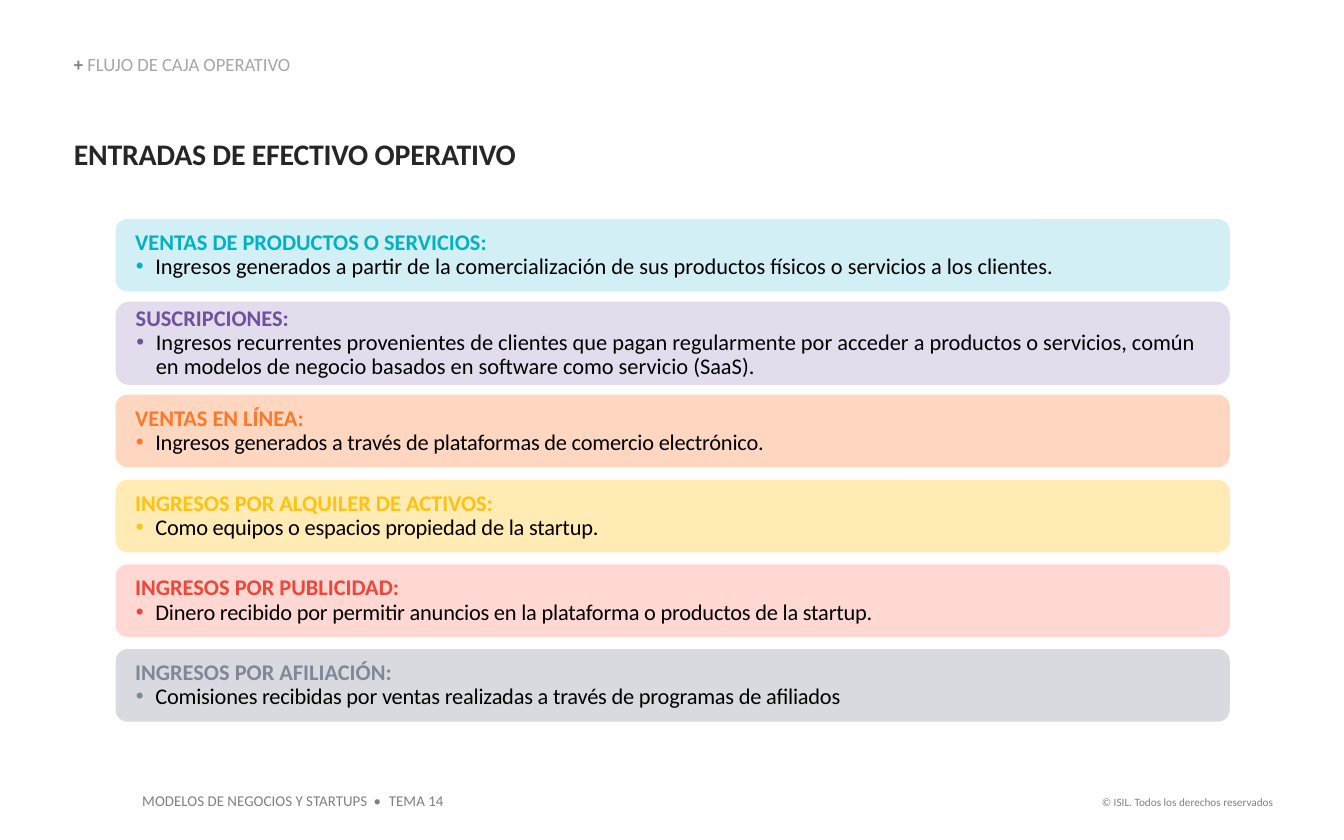
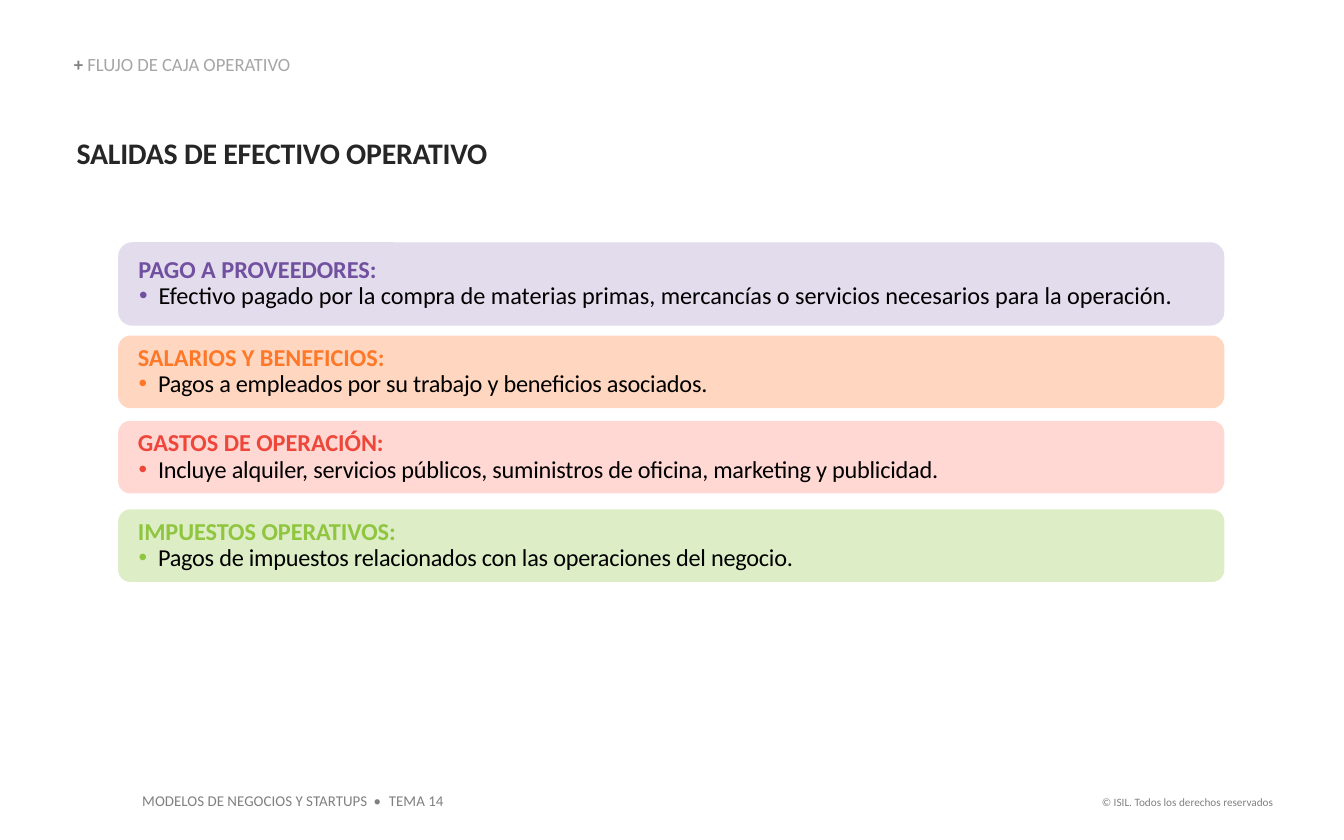
"""Build two slides on operating cash inflows and outflows."""
from lxml import etree
from pptx import Presentation
from pptx.dml.color import RGBColor
from pptx.enum.shapes import MSO_SHAPE
from pptx.enum.text import MSO_ANCHOR, PP_ALIGN
from pptx.oxml.ns import qn
from pptx.util import Pt

ROUNDED = MSO_SHAPE.ROUNDED_RECTANGLE
TOP, MIDDLE, BOTTOM = MSO_ANCHOR.TOP, MSO_ANCHOR.MIDDLE, MSO_ANCHOR.BOTTOM
LEFT, RIGHT = PP_ALIGN.LEFT, PP_ALIGN.RIGHT

FONT = "Calibri"
TIGHT = -0.1
CARD_HEIGHT, TALL_CARD_HEIGHT = 38.88, 44.64
COLORS = {
    "title": "262626", "body": "000000", "muted": "808080", "section": "A6A6A6",
    "teal": "00B2C4", "teal_fill": "D1EFF4",
    "purple": "7150A0", "purple_fill": "E3DCED",
    "orange": "FE7828", "orange_fill": "FFD7C1",
    "yellow": "FEC211", "yellow_fill": "FFEBB3",
    "red": "EE4639", "red_fill": "FFD8D4",
    "green": "8FC53F", "green_fill": "DDEEC7",
    "slate": "808799", "slate_fill": "808799",
}
FILL_OPACITY = {"slate": 30}

SECTION = "FLUJO DE CAJA OPERATIVO"
COURSE, TOPIC = "MODELOS DE NEGOCIOS Y STARTUPS", "TEMA 14"
COPYRIGHT = "© ISIL. Todos los derechos reservados"

SLIDES = [
    {
        "title": "ENTRADAS DE EFECTIVO OPERATIVO", "title_at": (39.6, 72.72),
        "left": 61.92, "width": 596.88, "size": 12,
        "cards": [
            ("teal", 117.36, CARD_HEIGHT, 0, "VENTAS DE PRODUCTOS O SERVICIOS:",
             "Ingresos generados a partir de la comercialización de sus productos físicos o servicios a los clientes."),
            ("purple", 161.6, TALL_CARD_HEIGHT, 0, "SUSCRIPCIONES:",
             "Ingresos recurrentes provenientes de clientes que pagan regularmente por acceder a productos o servicios, común\n"
             "en modelos de negocio basados en software como servicio (SaaS)."),
            ("orange", 211.5, CARD_HEIGHT, TIGHT, "VENTAS EN LÍNEA:",
             "Ingresos generados a través de plataformas de comercio electrónico."),
            ("yellow", 257.04, CARD_HEIGHT, TIGHT, "INGRESOS POR ALQUILER DE ACTIVOS:",
             "Como equipos o espacios propiedad de la startup."),
            ("red", 302.4, CARD_HEIGHT, TIGHT, "INGRESOS POR PUBLICIDAD:",
             "Dinero recibido por permitir anuncios en la plataforma o productos de la startup."),
            ("slate", 347.76, CARD_HEIGHT, TIGHT, "INGRESOS POR AFILIACIÓN:",
             "Comisiones recibidas por ventas realizadas a través de programas de afiliados"),
        ],
    },
    {
        "title": "SALIDAS DE EFECTIVO OPERATIVO", "title_at": (41.04, 72),
        "left": 63.36, "width": 592.56, "size": 13,
        "cards": [
            ("purple", 129.8, TALL_CARD_HEIGHT, 0, "PAGO A PROVEEDORES:",
             "Efectivo pagado por la compra de materias primas, mercancías o servicios necesarios para la operación."),
            ("orange", 179.8, CARD_HEIGHT, TIGHT, "SALARIOS Y BENEFICIOS:",
             "Pagos a empleados por su trabajo y beneficios asociados."),
            ("red", 225.5, CARD_HEIGHT, TIGHT, "GASTOS DE OPERACIÓN:",
             "Incluye alquiler, servicios públicos, suministros de oficina, marketing y publicidad."),
            ("green", 272.88, CARD_HEIGHT, TIGHT, "IMPUESTOS OPERATIVOS:",
             "Pagos de impuestos relacionados con las operaciones del negocio."),
        ],
    },
]


def add_span(para, text, size, color, bold=False, spacing=0):
    span = para.add_run()
    span.text = text
    span.font.name = FONT
    span.font.size = Pt(size)
    span.font.bold = bold
    span.font.color.rgb = RGBColor.from_string(COLORS[color])
    if spacing:
        span.font._element.set("spc", str(round(spacing * 100)))


def set_frame(shape, anchor, insets, wrap):
    frame = shape.text_frame
    frame.word_wrap = wrap
    frame.vertical_anchor = anchor
    frame.margin_left, frame.margin_top, frame.margin_right, frame.margin_bottom = map(Pt, insets)
    return frame


def add_line(page, place, spans, anchor=TOP, insets=(0, 0, 0, 0), wrap=True, align=LEFT):
    box = page.shapes.add_textbox(*map(Pt, place))
    para = set_frame(box, anchor, insets, wrap).paragraphs[0]
    para.alignment = align
    for span in spans:
        add_span(para, *span)
    return para


def add_bullet(para, color):
    properties = para._p.get_or_add_pPr()
    properties.set("marL", str(Pt(10.8)))
    properties.set("indent", str(-Pt(10.4)))
    bullet_color = etree.SubElement(properties, qn("a:buClr"))
    etree.SubElement(bullet_color, qn("a:srgbClr"), val=COLORS[color])
    etree.SubElement(properties, qn("a:buFont"), typeface="Arial")
    etree.SubElement(properties, qn("a:buChar"), char="•")


def add_card(page, left, width, size, card):
    color, top, height, spacing, heading, body = card
    shape = page.shapes.add_shape(ROUNDED, Pt(left), Pt(top), Pt(width), Pt(height))
    shape.shadow.inherit = False
    shape.line.fill.background()
    shape.fill.solid()
    shape.fill.fore_color.rgb = RGBColor.from_string(COLORS[color + "_fill"])
    if color in FILL_OPACITY:
        fill_color = shape._element.spPr.find(".//" + qn("a:srgbClr"))
        etree.SubElement(fill_color, qn("a:alpha"), val=str(FILL_OPACITY[color] * 1000))

    frame = set_frame(shape, MIDDLE, (8.64, 0, 0, 0), True)
    head = frame.paragraphs[0]
    add_span(head, heading, size, color, True)
    detail = frame.add_paragraph()
    detail.space_after = Pt(0.15 * size)
    add_bullet(detail, color)
    for index, text in enumerate(body.split("\n")):
        if index:
            detail.add_line_break()
        add_span(detail, text, size, "body", spacing=spacing)
    for para in (head, detail):
        para.alignment = LEFT
        para.line_spacing = 0.9


def add_footer(page):
    insets = (7.2, 3.6, 7.2, 3.6)
    add_line(page, (567.36, 422.64, 121.68, 14.4), [(COPYRIGHT, 6, "muted")],
             insets=insets, wrap=False, align=RIGHT)
    add_line(page, (69.12, 420.48, 176.4, 17.28),
             [(COURSE, 8, "muted"), (" • ", 8, "muted", False, 1.2), (TOPIC, 8, "muted")],
             insets=insets, wrap=False)


def main():
    deck = Presentation()
    deck.slide_width, deck.slide_height = Pt(720), Pt(450)
    for content in SLIDES:
        page = deck.slides.add_slide(deck.slide_layouts[6])
        add_footer(page)
        add_line(page, (*content["title_at"], 642.96, 19.44),
                 [(content["title"], 16, "title", True, TIGHT)])
        section = add_line(page, (39.6, 29.52, 306, 10.8),
                           [("+ ", 10, "muted", True), (SECTION, 10, "section")], anchor=BOTTOM)
        section.line_spacing = 0.9
        for card in content["cards"]:
            add_card(page, content["left"], content["width"], content["size"], card)
    deck.save("out.pptx")


if __name__ == "__main__":
    main()
